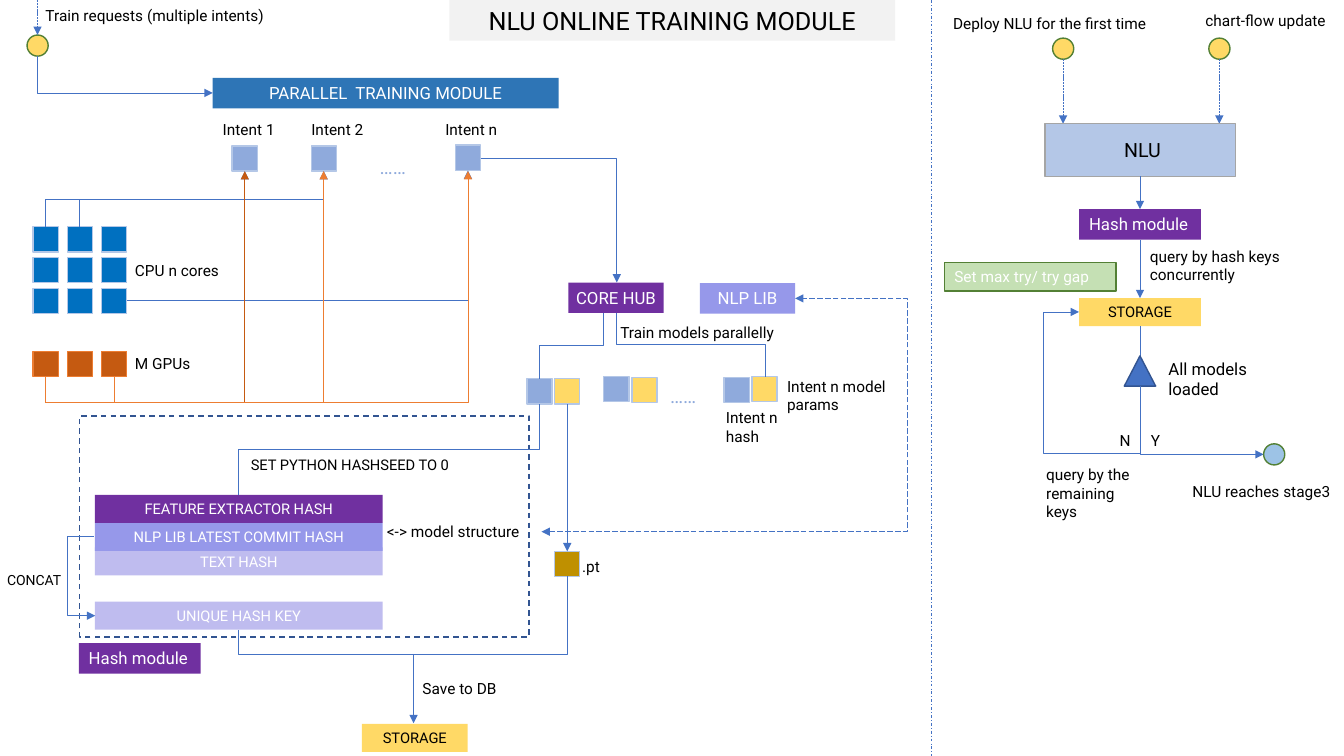
from dataclasses import dataclass

from pptx import Presentation
from pptx.dml.color import RGBColor
from pptx.enum.dml import MSO_LINE
from pptx.enum.shapes import MSO_CONNECTOR, MSO_SHAPE
from pptx.enum.text import MSO_ANCHOR, MSO_AUTO_SIZE, PP_ALIGN
from pptx.oxml.ns import qn
from pptx.util import Pt
from lxml.etree import SubElement


@dataclass(frozen=True)
class Theme:
    font: str = "Roboto"
    title: float = 18
    node: float = 14
    box: float = 12
    label: float = 11
    strip: float = 10.5
    small: float = 10
    thin: float = 0.5
    black: str = "000000"
    white: str = "FFFFFF"
    title_fill: str = "F2F2F2"
    module: str = "2E75B6"
    purple: str = "7030A0"
    violet: str = "9698EA"
    lilac: str = "BFBCEF"
    yellow: str = "FFD966"
    gold: str = "BF9000"
    intent: str = "8FAADC"
    pale_blue: str = "B4C7E7"
    cpu: str = "0070C0"
    gpu: str = "C55A11"
    orange: str = "ED7D31"
    link: str = "4472C4"
    navy: str = "325491"
    grey: str = "A5A5A5"
    green: str = "538035"
    pale_green: str = "C5E0B4"
    finish: str = "9DC3E6"


T = Theme()
CELL = 18  # side of the small squares
DOT = 15.1  # diameter of the start and end points


def rgb(value):
    return RGBColor.from_string(value)


def write(shape, text, size, color, align=PP_ALIGN.LEFT, anchor=MSO_ANCHOR.TOP):
    frame = shape.text_frame
    frame.word_wrap = True
    frame.auto_size = MSO_AUTO_SIZE.NONE
    frame.vertical_anchor = anchor
    if align == PP_ALIGN.CENTER:
        frame.margin_left = frame.margin_right = Pt(2)
    paragraph = frame.paragraphs[0]
    paragraph.alignment = align
    run = paragraph.add_run()
    run.text = text
    run.font.name, run.font.size = T.font, Pt(size)
    run.font.bold = False
    run.font.color.rgb = rgb(color)


def label(slide, text, x, y, w, h=20.6, size=T.label, color=T.black):
    write(slide.shapes.add_textbox(Pt(x), Pt(y), Pt(w), Pt(h)), text, size, color)


def block(slide, x, y, w, h, fill=None, line=None, kind=MSO_SHAPE.RECTANGLE):
    shape = slide.shapes.add_shape(kind, Pt(x), Pt(y), Pt(w), Pt(h))
    shape.shadow.inherit = False
    if fill:
        shape.fill.solid()
        shape.fill.fore_color.rgb = rgb(fill)
    else:
        shape.fill.background()
    if line:
        shape.line.color.rgb, shape.line.width = rgb(line), Pt(1)
    else:
        shape.line.fill.background()
    return shape


def bar(slide, text, x, y, w, h, fill, size=T.box, color=T.white, align=PP_ALIGN.CENTER):
    write(block(slide, x, y, w, h, fill), text, size, color, align)


def square(slide, x, y, fill, line=T.pale_blue):
    block(slide, x, y, CELL, CELL, fill, line)


def dot(slide, x, y, fill=T.yellow):
    block(slide, x, y, DOT, DOT, fill, T.green, MSO_SHAPE.OVAL)


def dress(connector, color, dash, head, tail):
    connector.line.color.rgb, connector.line.width = rgb(color), Pt(T.thin)
    if dash:
        connector.line.dash_style = dash
    properties = connector._element.spPr
    outline = properties.find(qn("a:ln"))
    for end, shown in (("a:headEnd", head), ("a:tailEnd", tail)):
        if shown:
            SubElement(outline, qn(end), type="triangle")
    SubElement(properties, qn("a:effectLst"))


def straight(slide, start, end, color=T.link, dash=None, tail=True):
    connector = slide.shapes.add_connector(
        MSO_CONNECTOR.STRAIGHT, *(Pt(v) for v in (*start, *end)))
    dress(connector, color, dash, False, tail)


def elbow(slide, *points, color=T.link, dash=None, head=False, tail=True):
    """Draw one bent connector through right-angled points."""
    start, end = points[0], points[-1]
    delta = [end[0] - start[0], end[1] - start[1]]
    first = 0 if points[0][1] == points[1][1] else 1  # 1: leaves vertically
    w, h = abs(delta[first]), abs(delta[1 - first])
    left = (start[0] + end[0] - w) / 2
    top = (start[1] + end[1] - h) / 2
    connector = slide.shapes.add_connector(
        MSO_CONNECTOR.ELBOW, Pt(left), Pt(top), Pt(left + w), Pt(top + h))
    properties = connector._element.spPr
    frame = properties.find(qn("a:xfrm"))
    if first:
        frame.set("rot", "5400000")
    frame.set("flipH", str(int(delta[first] < 0)))
    # A quarter turn mirrors the second axis
    frame.set("flipV", str(int((delta[1 - first] < 0) != bool(first))))
    geometry = properties.find(qn("a:prstGeom"))
    geometry.set("prst", f"bentConnector{len(points) - 1}")
    guides = geometry.find(qn("a:avLst"))
    for k in range(1, len(points) - 2):
        axis = (first + k - 1) % 2
        ratio = (points[k][axis] - start[axis]) / delta[axis]
        SubElement(guides, qn("a:gd"), name=f"adj{k}", fmla=f"val {round(ratio * 100000)}")
    dress(connector, color, dash, head, tail)


def add_title(slide):
    title = slide.shapes.title
    title.left, title.top, title.width, title.height = Pt(321), Pt(0), Pt(318.5), Pt(29)
    title.fill.solid()
    title.fill.fore_color.rgb = rgb(T.title_fill)
    write(title, "NLU ONLINE TRAINING MODULE", T.title, T.black, PP_ALIGN.CENTER)


def add_training(slide):
    # Request entering the training module
    dot(slide, 19.3, 25)
    straight(slide, (26.8, 0), (26.8, 25), dash=MSO_LINE.SQUARE_DOT)
    label(slide, "Train requests (multiple intents)", 25.4, 0.7, 175)
    bar(slide, "PARALLEL  TRAINING MODULE", 152, 55.6, 247, 21.8, T.module)
    elbow(slide, (26.8, 40.2), (26.8, 66.4), (152, 66.4))

    # Intents
    for name, x, y, name_x in (("Intent 1", 165.8, 104.2, 152), ("Intent 2", 222.3, 104.2, 215.3),
                               ("Intent n", 325.3, 103.7, 311)):
        square(slide, x, y, T.intent)
        label(slide, name, name_x, 82.3, 61)
    for x, y in ((264.2, 107.3), (471.6, 270.7)):
        label(slide, "……", x, y, 50.4, 24.5, T.node, T.intent)

    # Processors
    for column in range(3):
        x = 23.6 + 24.5 * column
        for row in range(3):
            square(slide, x, 162 + 22 * row, T.cpu)
        square(slide, x, 251, T.gpu, T.orange)
    label(slide, "CPU n cores", 89.3, 182.9, 78.5)
    label(slide, "M GPUs", 89.3, 249.5, 78.5)

    # Processors feeding the intents
    for x, target in ((32.5, 174.9), (57, 231.2)):
        elbow(slide, (x, 162), (x, 142.6), (target, 142.6), (target, 122.3))
    elbow(slide, (90.8, 214.8), (334.3, 214.8), (334.3, 121.8))
    for x, target, color in ((32.5, 174.9, T.gpu), (32.5, 231.2, T.orange), (81.5, 334.3, T.orange)):
        elbow(slide, (x, 269), (x, 287.2), (target, 287.2), (target, 122.3), color=color)


def add_models(slide):
    # Hub and library
    bar(slide, "CORE HUB", 406, 201.8, 68, 21.8, T.purple)
    bar(slide, "NLP LIB", 500, 202.3, 68, 21.8, T.violet)
    elbow(slide, (343.4, 113), (440.6, 113), (440.6, 201.8))
    label(slide, "Train models parallelly", 436, 227.5, 149)

    # Hash and parameter pairs
    for hash_x, hash_y, params_x, params_y in (
            (376.4, 270.5, 396.1, 270.5), (431.3, 269, 451.3, 269.6), (517.2, 269.7, 537.1, 269)):
        square(slide, hash_x, hash_y, T.intent)
        square(slide, params_x, params_y, T.yellow)
    label(slide, "Intent n hash", 511.4, 288, 61, 34)
    label(slide, "Intent n model params", 555.1, 265.7, 121, 34)
    elbow(slide, (431.3, 223.7), (431.3, 247), (385.4, 247), (385.4, 270.5), tail=False)
    elbow(slide, (440.6, 223.7), (440.6, 246.3), (546.4, 246.3), (546.4, 269), tail=False)
    square(slide, 396.1, 393.8, T.gold)
    label(slide, ".pt", 408.7, 394.6, 31)
    straight(slide, (405.2, 288.5), (405.2, 393.8))


def add_hashing(slide):
    # Hash inputs and resulting key
    for text, y, fill in (("TEXT HASH", 391, T.lilac), ("NLP LIB LATEST COMMIT HASH", 373.5, T.violet),
                          ("FEATURE EXTRACTOR HASH", 353.5, T.purple), ("UNIQUE HASH KEY", 429.8, T.lilac)):
        bar(slide, text, 67.8, y, 205.6, 20, fill, T.strip)
    label(slide, "SET PYTHON HASHSEED TO 0", 172.1, 321.8, 191.5, size=T.strip)
    label(slide, "<-> model structure", 269.3, 369.4, 140.4)
    label(slide, "CONCAT", -2, 404.6, 62.6, size=T.small)
    block(slide, 56.9, 297.2, 321.1, 157.7, line=T.navy).line.dash_style = MSO_LINE.DASH
    bar(slide, "Hash module", 56.3, 459.4, 87, 21.8, T.purple, align=PP_ALIGN.LEFT)
    elbow(slide, (170.6, 353.5), (170.6, 321), (385.4, 321), (385.4, 288.5), tail=False)
    elbow(slide, (67, 383.4), (47.6, 383.4), (47.6, 439.8), (68, 439.8))
    elbow(slide, (386.8, 379.8), (648, 379.8), (648, 213.2), (568, 213.2), dash=MSO_LINE.LONG_DASH, head=True)

    # Storage
    elbow(slide, (170.6, 450), (170.6, 467.6), (405.2, 467.6), (405.2, 411.8), tail=False)
    straight(slide, (295.4, 467), (295.4, 516.6))
    label(slide, "Save to DB", 294.7, 481.2, 75.6)
    bar(slide, "STORAGE", 258.5, 517, 75.6, 20, T.yellow, T.strip, T.black)


def add_deployment(slide):
    straight(slide, (665.4, 0), (665.4, 540), dash=MSO_LINE.DASH_DOT, tail=False)

    # Triggers
    for text, text_x, text_y, w, x in (("Deploy NLU for the first time", 673.7, 6.5, 168.5, 759.4),
                                       ("chart-flow update", 853.9, 4.7, 103, 871)):
        label(slide, text, text_x, text_y, w)
        dot(slide, x - DOT / 2, 27.2)
        straight(slide, (x, 42.4), (x, 88.4), dash=MSO_LINE.SQUARE_DOT)

    # Query steps
    nlu = block(slide, 746.4, 88.4, 136, 37.6, T.pale_blue, T.grey)
    write(nlu, " NLU", T.node, T.black, PP_ALIGN.CENTER, MSO_ANCHOR.MIDDLE)
    axis = 814.3
    straight(slide, (axis, 126), (axis, 149.4))
    bar(slide, "Hash module", 770.8, 149.4, 87, 21.8, T.purple, align=PP_ALIGN.LEFT)
    straight(slide, (axis, 171.2), (axis, 213))
    label(slide, "query by hash keys concurrently", axis, 172.8, 136, 34)
    bar(slide, "STORAGE", 770.8, 213, 87, 20, T.yellow, T.strip, T.black)
    limits = block(slide, 674.6, 187.4, 122.6, 20.6, T.pale_green, T.green)
    write(limits, "Set max try/ try gap", T.label, T.white)

    # Decision
    straight(slide, (axis, 233), (axis, 254.2), tail=False)
    block(slide, axis - 11.2, 254.2, 22.4, 21.6, T.link, T.navy, MSO_SHAPE.ISOSCELES_TRIANGLE)
    label(slide, "All models loaded", 827.5, 252.7, 108, 36, T.box)
    elbow(slide, (axis, 275.8), (axis, 324.6), (902.6, 324.6))
    elbow(slide, (axis, 275.8), (axis, 324), (745.3, 324), (745.3, 222.8), (770.8, 222.8))
    dot(slide, 902.6, 317, T.finish)
    label(slide, "N", 792.7, 304.6, 22)
    label(slide, "Y", 815, 304.6, 22)
    label(slide, "query by the remaining keys", 740.2, 329, 80.6, 47.5)
    label(slide, "NLU reaches stage3", 844.6, 340.9, 121)


def main():
    deck = Presentation()
    deck.slide_width, deck.slide_height = Pt(960), Pt(540)
    slide = deck.slides.add_slide(deck.slide_layouts[5])
    add_title(slide)
    add_training(slide)
    add_models(slide)
    add_hashing(slide)
    add_deployment(slide)
    deck.save("out.pptx")


if __name__ == "__main__":
    main()
